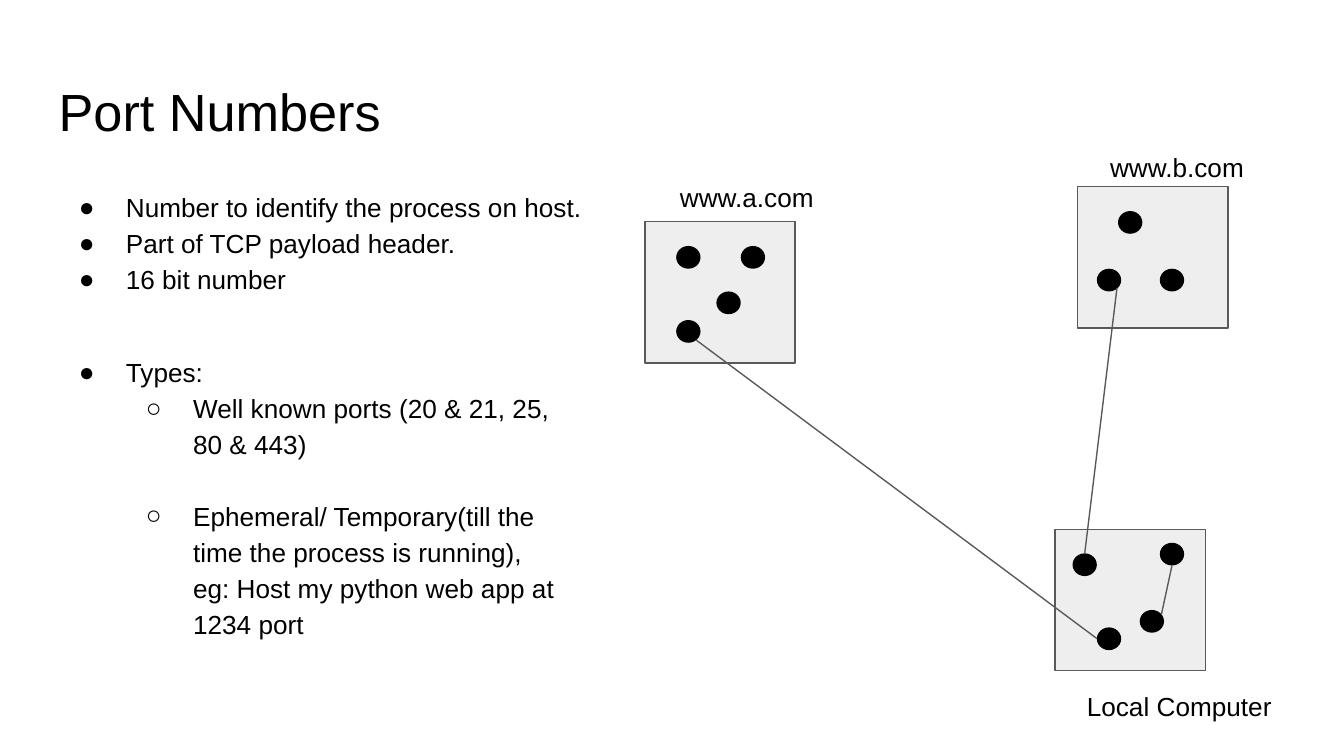
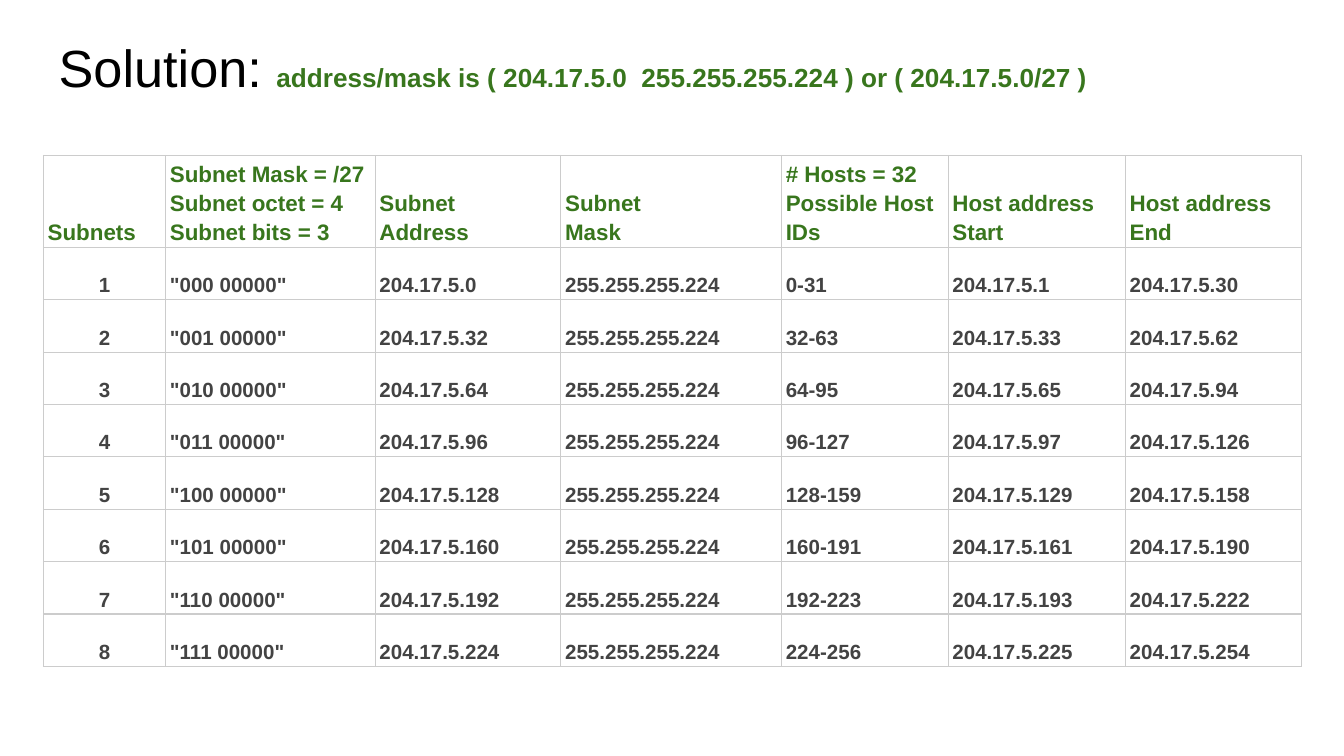
import pptx
import pptx.util
import pptx.dml.color
import pptx.enum.shapes
import pptx.enum.text
import pptx.oxml.ns
import lxml.etree

Cm = pptx.util.Cm
Pt = pptx.util.Pt

COLOURS = {
    "text": "000000", "accent": "38761D", "values": "434343",
    "host": "EEEEEE", "line": "595959", "grid": "CCCCCC", "white": "FFFFFF",
}
RGB = {name: pptx.dml.color.RGBColor.from_string(code) for name, code in COLOURS.items()}
FRAME = {
    "word_wrap": True,
    "auto_size": pptx.enum.text.MSO_AUTO_SIZE.NONE,
    "vertical_anchor": pptx.enum.text.MSO_ANCHOR.TOP,
    "margin_left": Cm(0.25), "margin_right": Cm(0.25),
    "margin_top": Cm(0.25), "margin_bottom": Cm(0.25),
}
CELL = {
    "vertical_anchor": pptx.enum.text.MSO_ANCHOR.BOTTOM,
    "margin_left": Cm(0.08), "margin_right": Cm(0.08),
    "margin_top": Cm(0.05), "margin_bottom": Cm(0.05),
}
LEFT = pptx.enum.text.PP_ALIGN.LEFT
CENTER = pptx.enum.text.PP_ALIGN.CENTER


def set_format(target, values):
    for name, value in values.items():
        setattr(target, name, value)


def add_run(paragraph, text, size, colour="text", bold=False):
    run = paragraph.add_run()
    run.text = text
    set_format(run.font, {"name": "Arial", "size": Pt(size), "bold": bold})
    run.font.color.rgb = RGB[colour]


deck = pptx.Presentation()
set_format(deck, {"slide_width": Cm(25.4), "slide_height": Cm(14.29)})

# Both slides: white background and title
titles = [
    (1.24, [("Port Numbers", 28)]),
    (0.41, [("Solution: ", 28),
            ("address/mask is ( 204.17.5.0  255.255.255.224 ) or ( 204.17.5.0/27 )",
             14, "accent", True)]),
]
slides = []
for top, runs in titles:
    slide = deck.slides.add_slide(deck.slide_layouts[5])
    slide.background.fill.solid()
    slide.background.fill.fore_color.rgb = RGB["white"]
    title = slide.shapes.title
    set_format(title, {"left": Cm(0.86), "top": Cm(top),
                       "width": Cm(23.67), "height": Cm(1.6)})
    set_format(title.text_frame, FRAME)
    heading = title.text_frame.paragraphs[0]
    heading.alignment = LEFT
    for run in runs:
        add_run(heading, *run)
    slides.append(slide)
ports, solution = slides

# Hosts, each with the dots of its processes
hosts = [
    ((12.19, 4.19), [(12.78, 4.65), (13.54, 5.51), (14.0, 4.65), (12.78, 6.05)]),
    ((19.94, 10.01), [(20.27, 10.46), (21.92, 10.26), (20.73, 11.86), (21.54, 11.53)]),
    ((20.37, 3.53), [(21.13, 3.99), (21.92, 5.08), (20.73, 5.08)]),
]
for corner, processes in hosts:
    host = ports.shapes.add_shape(pptx.enum.shapes.MSO_SHAPE.RECTANGLE,
                                  *map(Cm, corner), Cm(2.84), Cm(2.67))
    host.shadow.inherit = False
    host.fill.solid()
    host.fill.fore_color.rgb = RGB["host"]
    host.line.color.rgb = RGB["line"]
    host.line.width = Pt(0.75)
    for place in processes:
        process = ports.shapes.add_shape(pptx.enum.shapes.MSO_SHAPE.OVAL,
                                         *map(Cm, place), Cm(0.46), Cm(0.43))
        process.shadow.inherit = False
        process.fill.solid()
        process.fill.fore_color.rgb = RGB["text"]
        process.line.fill.background()

# Connections between processes
connections = [
    (20.73, 12.07, 13.16, 6.43),
    (20.5, 10.46, 21.11, 5.44),
    (22.15, 10.69, 21.95, 11.61),
]
for ends in connections:
    connection = ports.shapes.add_connector(pptx.enum.shapes.MSO_CONNECTOR.STRAIGHT,
                                            *map(Cm, ends))
    connection.line.color.rgb = RGB["line"]
    connection.line.width = Pt(0.75)
    lxml.etree.SubElement(connection._element.spPr, pptx.oxml.ns.qn("a:effectLst"))

# Host names
host_names = [
    ("www.a.com", 12.6, 3.18, 3.51),
    ("www.b.com", 20.73, 2.62, 3.51),
    ("Local Computer", 20.29, 12.8, 4.34),
]
for name, left, top, width in host_names:
    label = ports.shapes.add_textbox(Cm(left), Cm(top), Cm(width), Cm(0.66))
    set_format(label.text_frame, FRAME)
    add_run(label.text_frame.paragraphs[0], name, 14)

# Bulleted notes: level, space before, text
notes = [
    ((0.86, 3.28, 10.67, 2.67), [
        (0, 0, "Number to identify the process on host."),
        (0, 0, "Part of TCP payload header."),
        (0, 0, "16 bit number"),
    ]),
    ((0.86, 6.4, 10.05, 5.89), [
        (0, 0, "Types:"),
        (1, 0, "Well known ports (20 & 21, 25, 80 & 443)"),
        (1, 19, "Ephemeral/ Temporary(till the time the process is running), "
                "eg: Host my python web app at 1234 port"),
    ]),
]
for box, points in notes:
    note = ports.shapes.add_textbox(*map(Cm, box))
    set_format(note.text_frame, FRAME)
    for index, (level, space, text) in enumerate(points):
        point = note.text_frame.add_paragraph() if index else note.text_frame.paragraphs[0]
        set_format(point, {"level": level, "line_spacing": 1.15, "space_before": Pt(space)})
        add_run(point, text, 14)
        properties = point._p.get_or_add_pPr()
        properties.set("marL", str(Cm(1.27 * (level + 1))))
        properties.set("indent", str(Cm(-0.89)))
        bullet_colour = lxml.etree.SubElement(properties, pptx.oxml.ns.qn("a:buClr"))
        lxml.etree.SubElement(bullet_colour, pptx.oxml.ns.qn("a:srgbClr"), val=COLOURS["text"])
        lxml.etree.SubElement(properties, pptx.oxml.ns.qn("a:buFont"), typeface="Arial")
        lxml.etree.SubElement(properties, pptx.oxml.ns.qn("a:buChar"), char="●○"[level])

# Subnet rows: eight blocks of 32 addresses
subnet_rows = [[
    "Subnets", "Subnet Mask = /27\nSubnet octet = 4\nSubnet bits = 3", "Subnet\nAddress",
    "Subnet\nMask", "# Hosts = 32\nPossible Host IDs", "Host address Start",
    "Host address End",
]]
for number in range(8):
    first = 32 * number
    last = 256 if number == 7 else first + 31
    subnet_rows.append([
        str(number + 1), f'"{number:03b} 00000"', f"204.17.5.{first}", "255.255.255.224",
        f"{first}-{last}", f"204.17.5.{first + 1}", f"204.17.5.{first + 30}",
    ])

# Subnet table
widths = [2.31, 3.96, 3.51, 4.17, 3.15, 3.35, 3.33]
subnets = solution.shapes.add_table(len(subnet_rows), len(widths), Cm(0.82), Cm(2.94),
                                    Cm(sum(widths)), Cm(9.37)).table
set_format(subnets, {"first_row": False, "horz_banding": False})
for column, width in zip(subnets.columns, widths):
    column.width = Cm(width)
for r, row in enumerate(subnet_rows):
    subnets.rows[r].height = Cm(0.99 if r else 1.45)
    for c, text in enumerate(row):
        cell = subnets.cell(r, c)
        set_format(cell, CELL)
        for side in ("lnL", "lnR", "lnT", "lnB"):
            border = lxml.etree.SubElement(cell._tc.get_or_add_tcPr(),
                                           pptx.oxml.ns.qn(f"a:{side}"), w=str(Pt(0.75)))
            stroke = lxml.etree.SubElement(border, pptx.oxml.ns.qn("a:solidFill"))
            lxml.etree.SubElement(stroke, pptx.oxml.ns.qn("a:srgbClr"), val=COLOURS["grid"])
        if r == 0 or c == 3:
            cell.fill.background()
        else:
            cell.fill.solid()
            cell.fill.fore_color.rgb = RGB["white"]
        for index, line in enumerate(text.split("\n")):
            entry = cell.text_frame.add_paragraph() if index else cell.text_frame.paragraphs[0]
            set_format(entry, {"line_spacing": 1.15,
                               "alignment": CENTER if r and c == 0 else LEFT})
            add_run(entry, line, 11 if r else 12, "values" if r else "accent", True)

deck.save("out.pptx")
